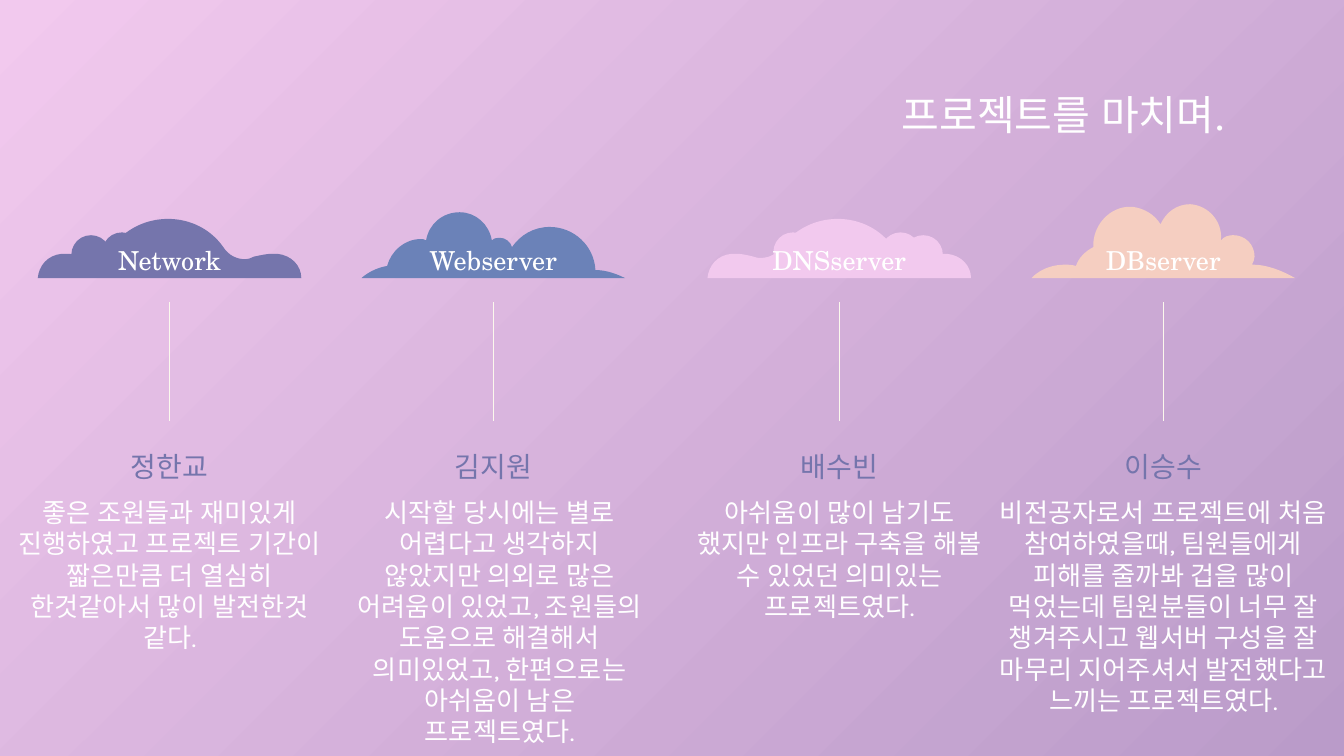
from lxml.etree import SubElement
from pptx import Presentation
from pptx.dml.color import RGBColor
from pptx.enum.shapes import MSO_CONNECTOR, MSO_SHAPE
from pptx.enum.text import MSO_ANCHOR, MSO_AUTO_SIZE, PP_ALIGN
from pptx.oxml.ns import qn
from pptx.util import Pt

PINK = RGBColor(0xF2, 0xC9, 0xEE)
LILAC = RGBColor(0xBA, 0x9B, 0xC9)
PURPLE = RGBColor(0x75, 0x75, 0xAC)
BLUE = RGBColor(0x6B, 0x82, 0xB8)
PEACH = RGBColor(0xF5, 0xCE, 0xC1)
CREAM = RGBColor(0xFB, 0xF9, 0xED)
WHITE = RGBColor(0xFF, 0xFF, 0xFF)

SERIF, SANS = "TeX Gyre Schola", "Karla"
CLOUD_WIDTH, CLOUD_BASE = 141.2, 149
PUFF_SIZE = 21

# Cloud outlines, in points from the left end of the base line.
# Two numbers are a straight step, six are a Bezier curve.
LOW_CLOUD = [
    (69.8, -31.7),
    (57.6, -31.7, 46.8, -25.9, 40.3, -17.3),
    (37.4, -13, 33.1, -10.8, 28.8, -10.8),
    (27.4, -10.8, 25.9, -10.8, 24.5, -11.5),
    (21.6, -12.2, 18.7, -13, 15.1, -13),
    (14.4, -13, 13.7, -13, 13, -13),
    (5, -12.2, 0.7, -6.5, 0, 0),
    (141.2, 0),
    (141.2, -6.5, 136.1, -12.2, 128.2, -13),
    (127.4, -13, 126.7, -13, 126, -13),
    (122.4, -13, 119.5, -12.2, 115.9, -11.5),
    (114.5, -10.8, 113, -10.1, 110.9, -10.1),
    (106.6, -10.1, 102.2, -12.2, 99.4, -16.6),
    (92.9, -25.9, 82.1, -31.7, 69.8, -31.7),
]
WIDE_CLOUD = [
    (52.6, -35.3),
    (43.2, -35.3, 36, -28.8, 34.6, -20.2),
    (33.8, -20.9, 32.4, -20.9, 31.7, -20.9),
    (23, -20.9, 15.8, -14.4, 13.7, -6.5),
    (5, -5, 0, 0, 0, 0),
    (141.2, 0),
    (133.9, -3.6, 128.9, -4.3, 125.3, -4.3),
    (124.6, -17.3, 113.8, -27.4, 100.8, -27.4),
    (92.2, -27.4, 85, -23, 80.6, -16.6),
    (79.9, -19.4, 77, -21.6, 74.2, -21.6),
    (72.7, -21.6, 71.3, -21.6, 69.8, -20.2),
    (68.4, -28.8, 61.2, -35.3, 52.6, -35.3),
]
TALL_CLOUD = [
    (85, -39.6),
    (77.8, -39.6, 72, -35.3, 69.1, -28.8),
    (66.2, -33.8, 60.5, -37.4, 54, -38.2),
    (54, -38.2, 53.3, -38.2, 52.6, -38.2),
    (42.5, -38.2, 33.8, -29.5, 33.1, -18.7),
    (33.1, -18, 33.1, -17.3, 33.1, -16.6),
    (28.8, -14.4, 25.2, -10.8, 23.8, -6.5),
    (21.6, -7.2, 19.4, -7.2, 18, -7.2),
    (5.8, -7.2, 0, 0, 0, 0),
    (141.2, 0),
    (132.5, -5, 124.6, -7.2, 118.8, -7.2),
    (118.8, -7.2, 118.8, -7.2, 118.1, -7.2),
    (118.8, -8.6, 119.5, -10.1, 119.5, -11.5),
    (119.5, -18, 114.5, -23, 108, -23),
    (105.8, -23, 103, -22.3, 101.5, -20.2),
    (101.5, -20.9),
    (102.2, -30.2, 95, -38.9, 85, -39.6),
]

# left, role, colour, outline, puffs, member, comment left, comment width, comment
MEMBERS = [
    (20.2, "Network", PURPLE, LOW_CLOUD, [(18, -23), (34.6, -24.5)],
     "정한교", -1.2, 184.3,
     "좋은 조원들과 재미있게 진행하였고 프로젝트 기간이 짧은만큼 더 열심히 "
     "한것같아서 많이 발전한것 같다."),
    (193.7, "Webserver", BLUE, WIDE_CLOUD, [],
     "김지원", 183.1, 169.2,
     "시작할 당시에는 별로 어렵다고 생각하지 않았지만 의외로 많은 어려움이 있었고, "
     "조원들의 도움으로 해결해서 의미있었고, 한편으로는 아쉬움이 남은 프로젝트였다."),
    (379, "DNSserver", PINK, LOW_CLOUD, [(35.3, -24.5), (92.9, -24.5), (105.1, -23)],
     "배수빈", 365.2, 169.2,
     "아쉬움이 많이 남기도 했지만 인프라 구축을 해볼 수 있었던 의미있는 프로젝트였다."),
    (552.6, "DBserver", PEACH, TALL_CLOUD, [],
     "이승수", 527.2, 192.2,
     "비전공자로서 프로젝트에 처음 참여하였을때, 팀원들에게 피해를 줄까봐 겁을 많이 "
     "먹었는데 팀원분들이 너무 잘 챙겨주시고 웹서버 구성을 잘 마무리 지어주셔서 "
     "발전했다고 느끼는 프로젝트였다."),
]


def write(shape, text, size, font, color, align=PP_ALIGN.CENTER, anchor=MSO_ANCHOR.MIDDLE):
    frame = shape.text_frame
    frame.word_wrap = True
    frame.auto_size = MSO_AUTO_SIZE.NONE
    frame.vertical_anchor = anchor
    frame.margin_left = frame.margin_right = Pt(7.2)
    frame.margin_top = frame.margin_bottom = Pt(7.2)
    paragraph = frame.paragraphs[0]
    paragraph.alignment = align
    run = paragraph.add_run()
    run.text = text
    run.font.size = Pt(size)
    run.font.name = font
    run.font.color.rgb = color
    run.font._element.set("kern", "0")
    SubElement(run.font._element, qn("a:ea")).set("typeface", font)


def add_text(slide, left, top, width, height, *style, **placing):
    box = slide.shapes.add_textbox(Pt(left), Pt(top), Pt(width), Pt(height))
    write(box, *style, **placing)


def paint(shape, color):
    shape.shadow.inherit = False
    shape.fill.solid()
    shape.fill.fore_color.rgb = color
    shape.line.fill.background()


def add_outline(slide, left, base, outline):
    """Build the freeform through the end points, then bend its steps into curves."""
    ends = [step[-2:] for step in outline]
    top = min(y for _, y in ends)
    builder = slide.shapes.build_freeform(Pt(left + ends[0][0]), Pt(base + ends[0][1]))
    builder.add_line_segments([(Pt(left + x), Pt(base + y)) for x, y in ends[1:]], close=True)
    cloud = builder.convert_to_shape()
    lines = list(cloud._element.iter(qn("a:lnTo")))
    for line, step in zip(lines, outline[1:]):
        if len(step) == 6:
            curve = line.makeelement(qn("a:cubicBezTo"))
            for x, y in zip(step[::2], step[1::2]):
                point = SubElement(curve, qn("a:pt"))
                point.set("x", str(Pt(x)))
                point.set("y", str(Pt(y - top)))
            line.getparent().replace(line, curve)
    return cloud


def add_cloud(slide, left, base, color, outline, puffs):
    paint(add_outline(slide, left, base, outline), color)
    for x, y in puffs:
        puff = slide.shapes.add_shape(MSO_SHAPE.OVAL, Pt(left + x), Pt(base + y),
                                      Pt(PUFF_SIZE), Pt(PUFF_SIZE))
        paint(puff, color)


def add_stem(slide, x, top, bottom):
    stem = slide.shapes.add_connector(MSO_CONNECTOR.STRAIGHT, Pt(x), Pt(top), Pt(x), Pt(bottom))
    stem.line.color.rgb = CREAM
    stem.line.width = Pt(0.75)
    SubElement(stem._element.spPr, qn("a:effectLst"))


def add_member(slide, left, role, color, outline, puffs, member,
               comment_left, comment_width, comment):
    center = left + CLOUD_WIDTH / 2
    # Cloud with the role on it
    add_cloud(slide, left, CLOUD_BASE, color, outline, puffs)
    add_text(slide, left, CLOUD_BASE - 19.4, CLOUD_WIDTH, 19.4, role, 14, SERIF, WHITE)
    # Stem, name and closing comment
    add_stem(slide, center, 162, 225.6)
    add_text(slide, center - 63, 238.6, 126, 22.3, member, 15, SERIF, PURPLE)
    add_text(slide, comment_left, 258.6, comment_width, 140, comment, 14, SANS, WHITE,
             anchor=MSO_ANCHOR.TOP)


def add_title(slide, left, top, width, height):
    title = slide.shapes.title
    title.left, title.top, title.width, title.height = Pt(left), Pt(top), Pt(width), Pt(height)
    write(title, "프로젝트를 마치며.", 22, SERIF, WHITE, align=PP_ALIGN.RIGHT)


def set_background(slide):
    fill = slide.background.fill
    fill.gradient()
    fill.gradient_angle = 315
    for stop, color in zip(fill.gradient_stops, (PINK, LILAC)):
        stop.color.rgb = color


def main():
    deck = Presentation()
    deck.slide_width, deck.slide_height = Pt(720), Pt(405)
    slide = deck.slides.add_slide(deck.slide_layouts[5])
    set_background(slide)
    for member in MEMBERS:
        add_member(slide, *member)
    add_title(slide, 56.2, 42, 607.6, 38.2)
    deck.save("out.pptx")


if __name__ == "__main__":
    main()
